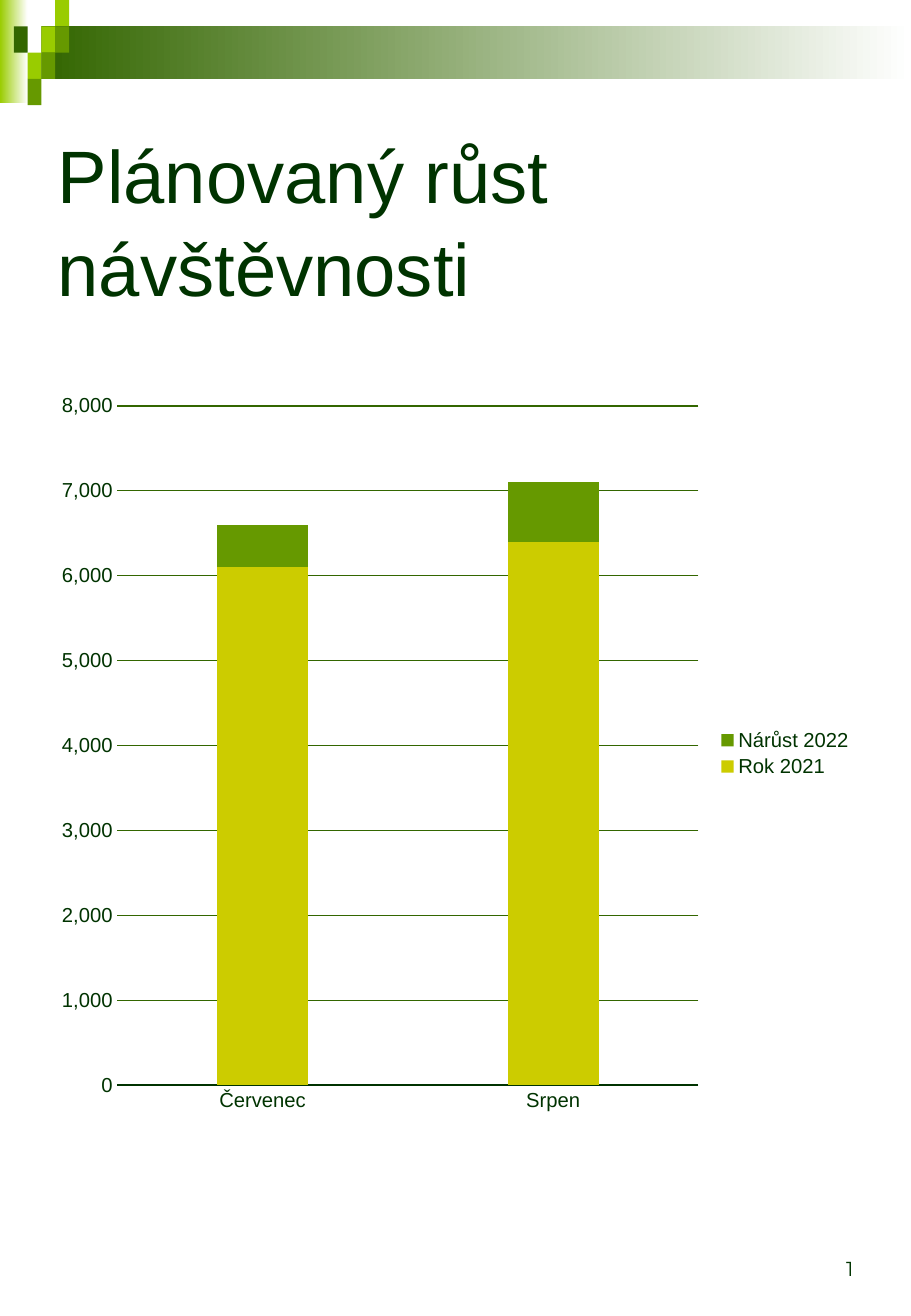
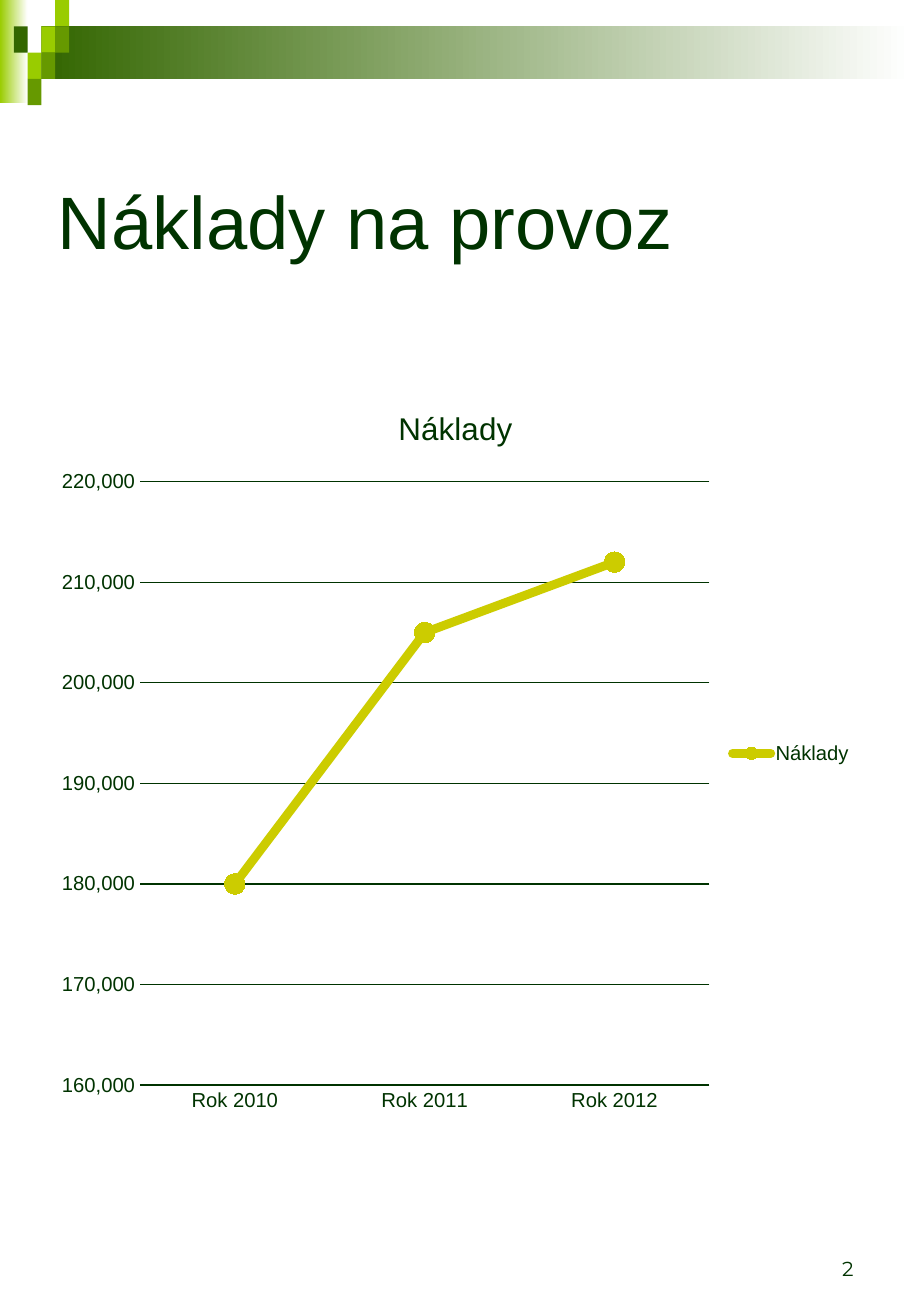
"""Build two portrait slides on attendance and running costs."""
import pptx
import pptx.util
import pptx.chart.data
import pptx.dml.color
import pptx.enum.chart
import pptx.enum.shapes
import pptx.enum.text

WIDE, HIGH = 7.5, 10.83
COLS, ROWS = 66, 50
INK, DARK, MID, LIME, GOLD, WHITE = (
    "003300", "336600", "669900", "99CC00", "CCCC00", "FFFFFF")
TILES = [
    (3, 1, LIME), (4, 0, LIME), (4, 1, MID), (2, 2, LIME),
    (1, 1, DARK), (3, 2, MID), (2, 3, MID),
]
LEFT, SPAN = 3.3, 59.4
KIND = pptx.enum.chart.XL_CHART_TYPE
ALIGN = pptx.enum.text.PP_ALIGN
ANCHOR = pptx.enum.text.MSO_ANCHOR


def tint(code):
    """Return the colour for a hex string."""
    return pptx.dml.color.RGBColor.from_string(code)


def style(font, size, face="Arial", color=INK):
    """Format a font."""
    font.size = pptx.util.Pt(size)
    font.name = face
    font.bold = False
    font.color.rgb = tint(color)


def write(frame, text, size, face="Arial", color=INK, align=ALIGN.LEFT,
          anchor=ANCHOR.MIDDLE, space=1.0):
    """Put formatted text in a frame."""
    frame.word_wrap = True
    frame.auto_size = pptx.enum.text.MSO_AUTO_SIZE.NONE
    frame.vertical_anchor = anchor
    para = frame.paragraphs[0]
    para.alignment = align
    para.line_spacing = space
    run = para.add_run()
    run.text = text
    style(run.font, size, face, color)


def rule(line, color, width):
    """Format a line."""
    line.color.rgb = tint(color)
    line.width = pptx.util.Pt(width)


class Deck:
    """Hold the style and the current slide."""

    def __init__(self):
        """Open an empty deck."""
        self.file = pptx.Presentation()
        self.file.slide_width = pptx.util.Inches(WIDE)
        self.file.slide_height = pptx.util.Inches(HIGH)
        self.slide = None

    def grid(self, col, row, cols, rows):
        """Turn grid cells into a box of lengths."""
        inch = pptx.util.Inches
        return (inch(col * WIDE / COLS), inch(row * HIGH / ROWS),
                inch(cols * WIDE / COLS), inch(rows * HIGH / ROWS))

    def page(self, title):
        """Add a slide with its band, title and number."""
        self.slide = self.file.slides.add_slide(self.file.slide_layouts[5])
        self.block(0, 0, 2, 3.9, LIME, fade=True)
        self.block(3, 1, COLS - 3, 2, DARK, fade=True)
        for col, row, color in TILES:
            self.block(col, row, 1, 1, color)
        head = self.slide.shapes.title
        head.left, head.top, head.width, head.height = self.grid(
            LEFT, 3.3, SPAN, 10)
        write(head.text_frame, title, 44, space=1.04)
        box = self.slide.shapes.add_textbox(*self.grid(47.3, 45.6, 15.4, 3.3))
        write(box.text_frame, str(len(self.file.slides)), 12, "Montserrat",
              align=ALIGN.RIGHT, anchor=ANCHOR.BOTTOM)

    def block(self, col, row, cols, rows, color, fade=False):
        """Add a plain or fading rectangle."""
        shape = self.slide.shapes.add_shape(
            pptx.enum.shapes.MSO_SHAPE.RECTANGLE,
            *self.grid(col, row, cols, rows))
        shape.shadow.inherit = False
        shape.line.fill.background()
        if fade:
            shape.fill.gradient()
            shape.fill.gradient_angle = 0
            for stop, code in zip(shape.fill.gradient_stops, (color, WHITE)):
                stop.color.rgb = tint(code)
        else:
            shape.fill.solid()
            shape.fill.fore_color.rgb = tint(color)

    def chart(self, kind, cats, rows, low, high, step, mesh):
        """Add a chart with the shared axes and legend."""
        data = pptx.chart.data.CategoryChartData(number_format="#,##0")
        data.categories = cats
        for name, vals in rows:
            data.add_series(name, vals)
        chart = self.slide.shapes.add_chart(
            kind, *self.grid(LEFT, 14.45, SPAN, 28.35), data).chart
        style(chart.font, 10)
        chart.has_title = False
        chart.has_legend = True
        chart.legend.position = pptx.enum.chart.XL_LEGEND_POSITION.RIGHT
        chart.legend.include_in_layout = False
        style(chart.legend.font, 12)
        for axis in (chart.category_axis, chart.value_axis):
            axis.major_tick_mark = pptx.enum.chart.XL_TICK_MARK.NONE
            axis.minor_tick_mark = pptx.enum.chart.XL_TICK_MARK.NONE
            style(axis.tick_labels.font, 12)
        rule(chart.category_axis.format.line, INK, 1.5)
        axis = chart.value_axis
        axis.format.line.fill.background()
        axis.minimum_scale, axis.maximum_scale = low, high
        axis.major_unit = step
        axis.tick_labels.number_format = "#,##0"
        axis.tick_labels.number_format_is_linked = False
        axis.has_major_gridlines = True
        rule(axis.major_gridlines.format.line, mesh, 0.75)
        chart.plots[0].vary_by_categories = False
        return chart

    def stack(self, cats, rows, colors, **scale):
        """Add stacked columns."""
        plot = self.chart(KIND.COLUMN_STACKED, cats, rows, **scale).plots[0]
        plot.gap_width, plot.overlap = 219, 100
        for item, color in zip(plot.series, colors):
            item.format.fill.solid()
            item.format.fill.fore_color.rgb = tint(color)

    def trend(self, cats, name, vals, color, **scale):
        """Add a titled line with round markers."""
        chart = self.chart(KIND.LINE_MARKERS, cats, [(name, vals)], **scale)
        chart.has_title = True
        run = chart.chart_title.text_frame.paragraphs[0].add_run()
        run.text = name
        style(run.font, 18.6)
        item = chart.plots[0].series[0]
        item.smooth = False
        rule(item.format.line, color, 5.25)
        chart.element.xpath(".//c:ser/c:spPr/a:ln")[0].set("cap", "rnd")
        mark = item.marker
        mark.style = pptx.enum.chart.XL_MARKER_STYLE.CIRCLE
        mark.size = 12
        mark.format.fill.solid()
        mark.format.fill.fore_color.rgb = tint(color)
        mark.format.line.fill.background()


def main():
    """Build and save the deck."""
    deck = Deck()
    deck.page("Plánovaný růst návštěvnosti")
    deck.stack(["Červenec", "Srpen"],
               [("Rok 2021", (6100, 6400)), ("Nárůst 2022", (500, 700))],
               (GOLD, MID), low=0, high=8000, step=1000, mesh=DARK)
    deck.page("Náklady na provoz")
    deck.trend(["Rok 2010", "Rok 2011", "Rok 2012"], "Náklady",
               (180000, 205000, 212000), GOLD,
               low=160000, high=220000, step=10000, mesh=INK)
    deck.file.save("out.pptx")


if __name__ == "__main__":
    main()
